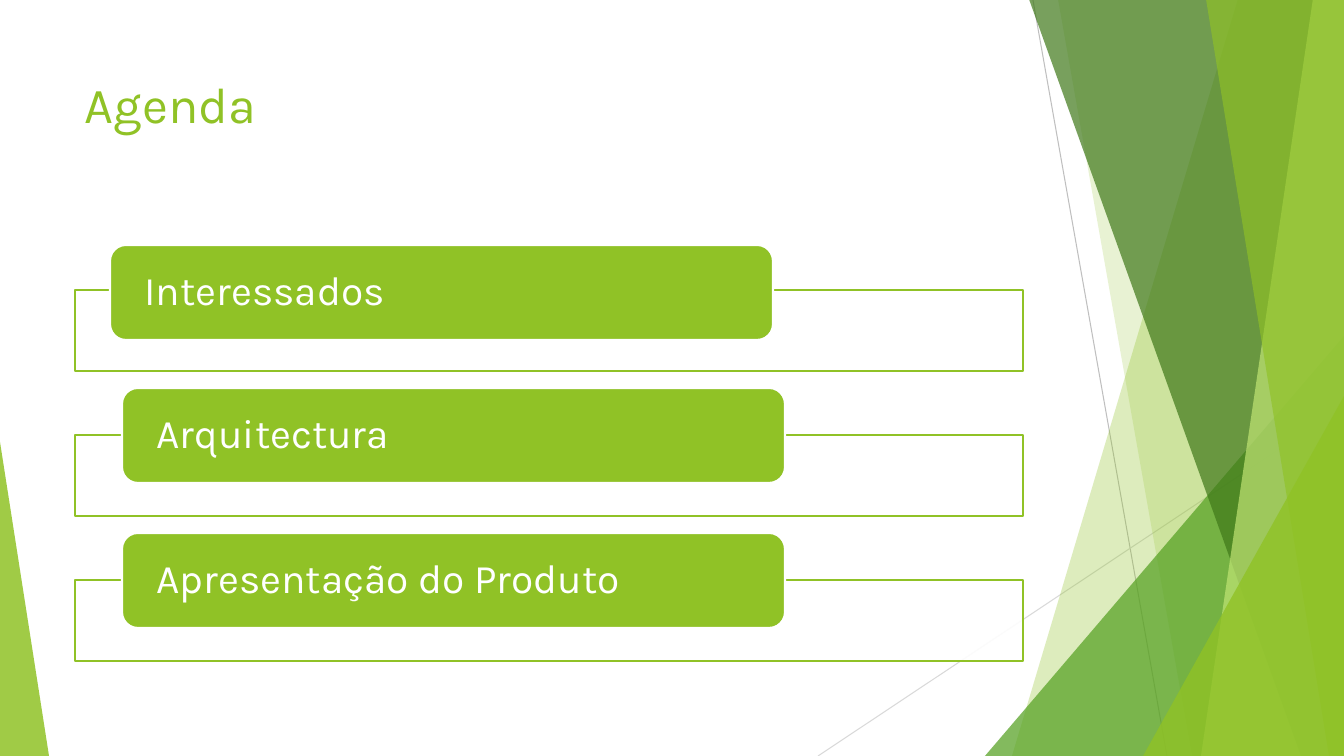
import lxml.etree
import pptx
import pptx.util
import pptx.dml.color
import pptx.enum.shapes
import pptx.enum.text
import pptx.oxml.ns

SCALE = 12192000 / 1344
FONT = "Karla"
HEX = {
    "lime": "90C226",
    "pale": "C0E474",
    "green": "54A021",
    "dark": "3F7819",
    "white": "FFFFFF",
    "gray": "BFBFBF",
    "light": "D9D9D9",
}
KIND = pptx.enum.shapes.MSO_SHAPE
ANCHOR = pptx.enum.text.MSO_ANCHOR

LINES = [((1033, 0), (1167, 756), "gray"), ((1344, 406), (818, 756), "light")]
# Each band runs from its top left x to its bottom left x: colour, opacity
BACK = [(1238, 1012, "lime", 30), (1058, 1192, "lime", 20)]
FRONT = [(1029, 1301, "dark", 70), (1313, 1201, "pale", 70), (1206, 1329, "lime", 65)]
TOPICS = [
    ("Interessados", 110, 245),
    ("Arquitectura", 122, 388),
    ("Apresentação do Produto", 122, 533),
]


def px(num):
    return pptx.util.Emu(round(num * SCALE))


def rgb(name):
    return pptx.dml.color.RGBColor.from_string(HEX[name])


def add_node(parent, tag):
    return lxml.etree.SubElement(parent, pptx.oxml.ns.qn(tag))


def paint(shape, fill, alpha=100, line=None):
    """Set fill, opacity in percent and outline, without a shadow."""
    shape.shadow.inherit = False
    shape.fill.solid()
    shape.fill.fore_color.rgb = rgb(fill)
    if alpha < 100:
        tone = shape._element.spPr.find(".//" + pptx.oxml.ns.qn("a:srgbClr"))
        add_node(tone, "a:alpha").set("val", str(alpha * 1000))
    if line:
        shape.line.color.rgb = rgb(line)
        shape.line.width = pptx.util.Pt(1.5)
    else:
        shape.line.fill.background()


def add_line(slide, start, end, color):
    line = slide.shapes.add_connector(
        pptx.enum.shapes.MSO_CONNECTOR.STRAIGHT, *map(px, start + end)
    )
    line.line.color.rgb = rgb(color)
    line.line.width = pptx.util.Pt(0.75)
    add_node(line._element.spPr, "a:effectLst")


def add_band(slide, top, base, color, alpha):
    """Draw a full height band that reaches the right edge."""
    form = slide.shapes.build_freeform(top, -1, scale=SCALE)
    form.add_line_segments([(1344, -1), (1344, 756), (base, 756)], close=True)
    paint(form.convert_to_shape(), color, alpha)


def add_shape(slide, kind, box, fill, alpha=100, line=None):
    shape = slide.shapes.add_shape(kind, *map(px, box))
    paint(shape, fill, alpha, line)
    return shape


def add_wedge(slide, box, apex, color, alpha):
    shape = add_shape(slide, KIND.ISOSCELES_TRIANGLE, box, color, alpha)
    shape.adjustments[0] = apex


def write(shape, text, size, color, anchor, side, edge):
    """Fill a shape with one left aligned run; side and edge are insets."""
    frame = shape.text_frame
    frame.word_wrap = True
    frame.vertical_anchor = anchor
    frame.margin_left = frame.margin_right = px(side)
    frame.margin_top = frame.margin_bottom = px(edge)
    para = frame.paragraphs[0]
    para.alignment = pptx.enum.text.PP_ALIGN.LEFT
    run = para.add_run()
    run.text = text
    run.font.name = FONT
    run.font.size = pptx.util.Pt(size)
    run.font.color.rgb = rgb(color)
    return para


def add_title(slide, text):
    box = slide.shapes.add_textbox(*map(px, (75, 68, 948, 145)))
    write(box, text, 36, "lime", ANCHOR.TOP, 10, 5)


def add_topic(slide, row, text, left, top):
    frame = (75, 290 + 145 * row, 948, 81)
    add_shape(slide, KIND.RECTANGLE, frame, "white", 90, "lime")
    label = (left, top, 663, 95)
    pill = add_shape(slide, KIND.ROUNDED_RECTANGLE, label, "lime", line="white")
    para = write(pill, text, 29, "white", ANCHOR.MIDDLE, 30, 0)
    para.line_spacing = 0.9


def add_decor(slide):
    for line in LINES:
        add_line(slide, *line)
    for band in BACK:
        add_band(slide, *band)
    add_wedge(slide, (985, 336, 359, 420), 1, "green", 72)
    for band in FRONT:
        add_band(slide, *band)
    add_wedge(slide, (1143, 396, 201, 360), 1, "lime", 80)
    add_wedge(slide, (0, 442, 49, 314), 0, "lime", 85)


def main():
    deck = pptx.Presentation()
    deck.slide_width, deck.slide_height = px(1344), px(756)
    slide = deck.slides.add_slide(deck.slide_layouts[6])
    add_decor(slide)
    add_title(slide, "Agenda")
    for row, topic in enumerate(TOPICS):
        add_topic(slide, row, *topic)
    deck.save("out.pptx")


if __name__ == "__main__":
    main()
